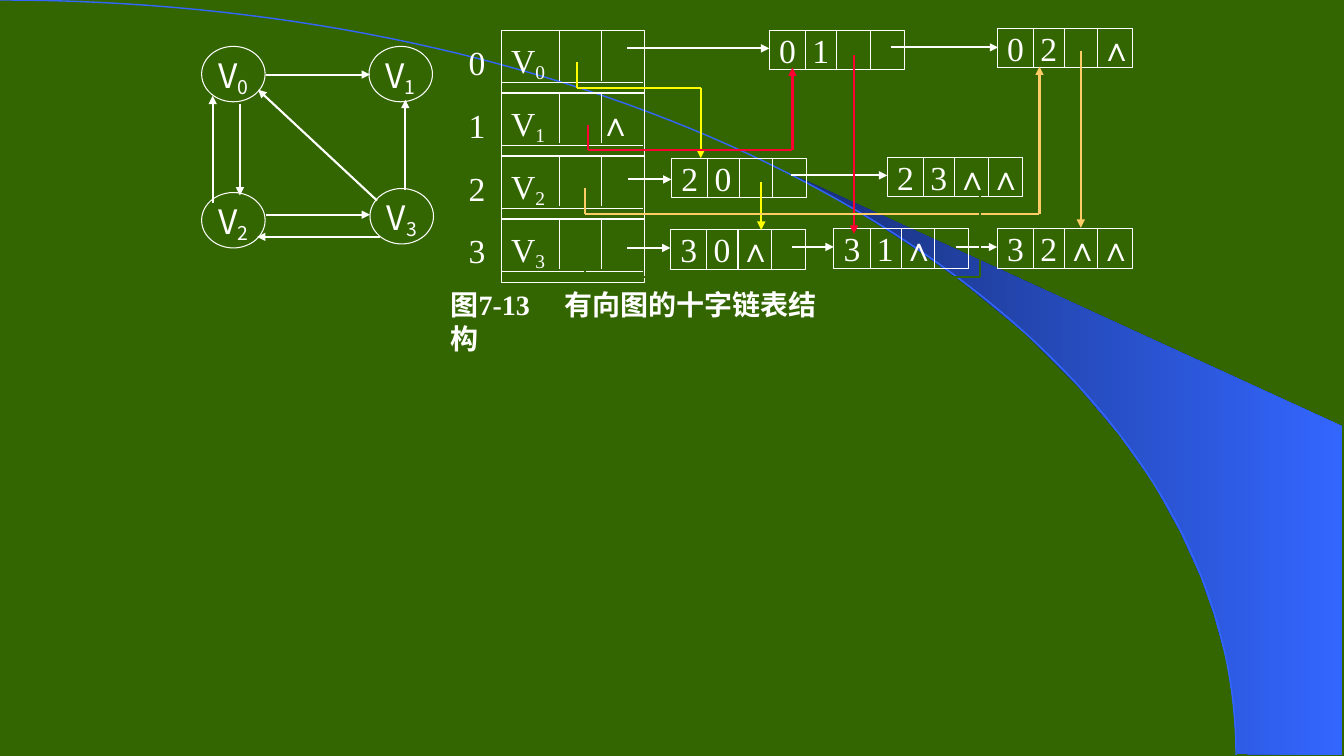
from itertools import pairwise

from lxml import etree
from pptx import Presentation
from pptx.dml.color import RGBColor
from pptx.enum.shapes import MSO_CONNECTOR as LINK, MSO_SHAPE as SHAPE
from pptx.enum.text import MSO_ANCHOR as ANCHOR, PP_ALIGN as ALIGN
from pptx.oxml.ns import qn
from pptx.util import Inches, Pt

GREEN = RGBColor(0x33, 0x66, 0x00)
NAVY = RGBColor(0x18, 0x2F, 0x76)
BLUE = RGBColor(0x33, 0x66, 0xFF)
WHITE = RGBColor(0xFF, 0xFF, 0xFF)
YELLOW = RGBColor(0xFF, 0xFF, 0x00)
RED = RGBColor(0xFF, 0x00, 0x33)
ORANGE = RGBColor(0xFF, 0xCC, 0x66)
SERIF = "Times New Roman"
SANS = "Noto Sans CJK SC"

SWOOSH = [
    (12.27, 7.48), (13.31, 7.49), (13.31, 4.23), (7.86, 1.73), (8.32, 1.99), (8.7, 2.22),
    (9.13, 2.5), (9.55, 2.8), (10.16, 3.3), (10.7, 3.84), (11.1, 4.31), (11.44, 4.79),
    (11.71, 5.28), (11.91, 5.72), (12.04, 6.09), (12.17, 6.56), (12.23, 6.96),
]
VERTICES = [(2, 0.46), (3.66, 0.46), (2, 1.91), (3.67, 1.87)]
GRAPH_EDGES = [
    [(4.02, 1.89), (4.02, 0.99)],
    [(2.64, 0.74), (3.67, 0.74)],
    [(2.38, 1.03), (2.38, 1.94)],
    [(2.64, 2.13), (3.67, 2.13)],
    [(3.74, 1.99), (2.56, 0.89)],
    [(2.11, 2.01), (2.11, 0.95)],
    [(3.77, 2.35), (2.55, 2.35)],
]
ARC_NODES = [
    (7.63, 0.3, "0\t1"),
    (9.89, 0.28, "0\t2\t∧"),
    (6.66, 1.57, "2\t0"),
    (8.8, 1.56, "2\t3 ∧∧"),
    (6.65, 2.28, "3\t0 ∧"),
    (8.27, 2.27, "3\t1 ∧"),
    (9.89, 2.27, "3\t2 ∧∧"),
]
ROW_LINKS = [
    (6.22, 7.63, 0.48), (8.84, 9.9, 0.47),
    (6.23, 6.66, 1.78), (7.85, 8.8, 1.74),
    (6.22, 6.65, 2.46), (7.86, 8.27, 2.45), (9.48, 9.89, 2.45),
]
COLUMN_LINKS = [
    (YELLOW, [(7.55, 1.81), (7.55, 2.28)]),
    (YELLOW, [(5.72, 0.62), (5.72, 0.87), (6.95, 0.87), (6.95, 1.57)]),
    (RED, [(5.83, 1.24), (5.83, 1.49), (7.86, 1.49), (7.86, 0.67)]),
    (RED, [(8.47, 0.55), (8.47, 2.32)]),
    (ORANGE, [(5.8, 1.87), (5.8, 2.12), (10.31, 2.12), (10.31, 0.66)]),
    (ORANGE, [(10.72, 0.51), (10.72, 2.26)]),
    (GREEN, [(5.8, 2.5), (5.8, 2.75), (9.72, 2.75), (9.72, 1.93)]),
]


def add_outline(page, points, closed):
    """Draw a freeform through points given in inches."""
    corners = [(Inches(x), Inches(y)) for x, y in points]
    builder = page.shapes.build_freeform(*corners[0], scale=1.0)
    builder.add_line_segments(corners[1:], close=closed)
    outline = builder.convert_to_shape()
    outline.shadow.inherit = False
    return outline


def add_backdrop(page):
    """Draw the green ground, the gradient swoosh and the thin arc."""
    page.background.fill.solid()
    page.background.fill.fore_color.rgb = GREEN
    swoosh = add_outline(page, SWOOSH, True)
    swoosh.fill.gradient()
    swoosh.fill.gradient_angle = 0
    for stop, color in zip(swoosh.fill.gradient_stops, (NAVY, BLUE)):
        stop.color.rgb = color
    swoosh.line.fill.background()
    arc = []
    for step in range(81):
        t = step / 80
        s = 1 - t
        arc.append((
            3 * s * s * t * 6.77 + (3 * s * t * t + t ** 3) * 12.26,
            3 * s * t * t * 3.35 + t ** 3 * 7.49,
        ))
    curve = add_outline(page, arc, False)
    curve.fill.background()
    curve.line.color.rgb = BLUE
    curve.line.width = Pt(1)


def add_line(page, start, end, color=WHITE, width=0.75, arrow=False):
    """Draw a straight connector, with an arrowhead at its end if asked."""
    ends = [Inches(value) for value in (*start, *end)]
    line = page.shapes.add_connector(LINK.STRAIGHT, *ends)
    line.line.color.rgb = color
    line.line.width = Pt(width)
    if arrow:
        etree.SubElement(line.line._get_or_add_ln(), qn("a:tailEnd"), type="triangle")
    etree.SubElement(line._element.spPr, qn("a:effectLst"))


def add_route(page, points, color=WHITE):
    """Draw a chain of thick lines that ends in an arrowhead."""
    for start, end in pairwise(points):
        add_line(page, start, end, color, 1.5, end == points[-1])


def add_shape(page, preset, left, top, width, height):
    """Add an unfilled shape with a thin white outline."""
    box = page.shapes.add_shape(preset, *map(Inches, (left, top, width, height)))
    box.shadow.inherit = False
    box.fill.background()
    box.line.color.rgb = WHITE
    box.line.width = Pt(0.75)
    return box


def add_text_box(page, left, top, width, height):
    """Add an empty text box."""
    return page.shapes.add_textbox(*map(Inches, (left, top, width, height)))


def add_span(para, text, size=24, font=SERIF, bold=False, subscript=False):
    """Append one white run to a paragraph."""
    span = para.add_run()
    span.text = text
    span.font.name = font
    span.font.size = Pt(size)
    span.font.bold = bold
    span.font.color.rgb = WHITE
    properties = span.font._element
    etree.SubElement(properties, qn("a:ea"), typeface=SANS)
    if subscript:
        properties.set("baseline", "-18000")


def start_line(box, tabs=()):
    """Return the left-aligned, unwrapped paragraph of a box with its tab stops."""
    box.text_frame.word_wrap = False
    box.text_frame.vertical_anchor = ANCHOR.MIDDLE
    para = box.text_frame.paragraphs[0]
    para.alignment = ALIGN.LEFT
    if tabs:
        stops = etree.SubElement(para._p.get_or_add_pPr(), qn("a:tabLst"))
        for tab in tabs:
            etree.SubElement(stops, qn("a:tab"), pos=str(Inches(tab)), algn="l")
    return para


def add_vertex(page, index, left, top):
    """Draw one vertex of the directed graph."""
    box = add_shape(page, SHAPE.OVAL, left, top, 0.63, 0.55)
    frame = box.text_frame
    frame.margin_left = frame.margin_right = frame.margin_top = frame.margin_bottom = 0
    frame.vertical_anchor = ANCHOR.TOP
    para = frame.paragraphs[0]
    para.alignment = ALIGN.CENTER
    add_span(para, "V", font=SANS)
    add_span(para, str(index), font=SANS, subscript=True)


def add_arc_node(page, left, top, text):
    """Draw one four-field arc node."""
    box = add_shape(page, SHAPE.RECTANGLE, left, top, 1.34, 0.39)
    add_span(start_line(box, (0.33, 0.92)), text)
    for offset in (0.36, 0.67, 1):
        add_line(page, (left + offset, top), (left + offset, top + 0.39))


def add_head_row(page, index):
    """Draw one row of the vertex table with its number."""
    top = 0.3 + 0.623 * index
    add_span(start_line(add_text_box(page, 4.55, top + 0.01, 0.39, 0.61)), str(index))
    box = add_shape(page, SHAPE.RECTANGLE, 4.97, top, 1.42, 0.63)
    para = start_line(box, (0.87,))
    add_span(para, "V")
    add_span(para, str(index), subscript=True)
    if index == 1:
        add_span(para, "\t∧")
    for x in (5.55, 5.97):
        add_line(page, (x, top), (x, top + 0.5))
    add_line(page, (4.97, top + 0.52), (6.38, top + 0.52))


def main():
    """Build the slide and save it."""
    deck = Presentation()
    deck.slide_width, deck.slide_height = Inches(13.33), Inches(7.5)
    page = deck.slides.add_slide(deck.slide_layouts[6])
    add_backdrop(page)
    for index, (left, top) in enumerate(VERTICES):
        add_vertex(page, index, left, top)
    for edge in GRAPH_EDGES:
        add_route(page, edge)
    for node in ARC_NODES:
        add_arc_node(page, *node)
    for index in range(4):
        add_head_row(page, index)
    for start, end, y in ROW_LINKS:
        add_route(page, [(start, y), (end, y)])
    for color, points in COLUMN_LINKS:
        add_route(page, points, color)
    caption = start_line(add_text_box(page, 4.37, 2.99, 4.01, 0.39), (1.13,))
    add_span(caption, "图7-13\t有向图的十字链表结构", size=20, bold=True)
    deck.save("out.pptx")


if __name__ == "__main__":
    main()
